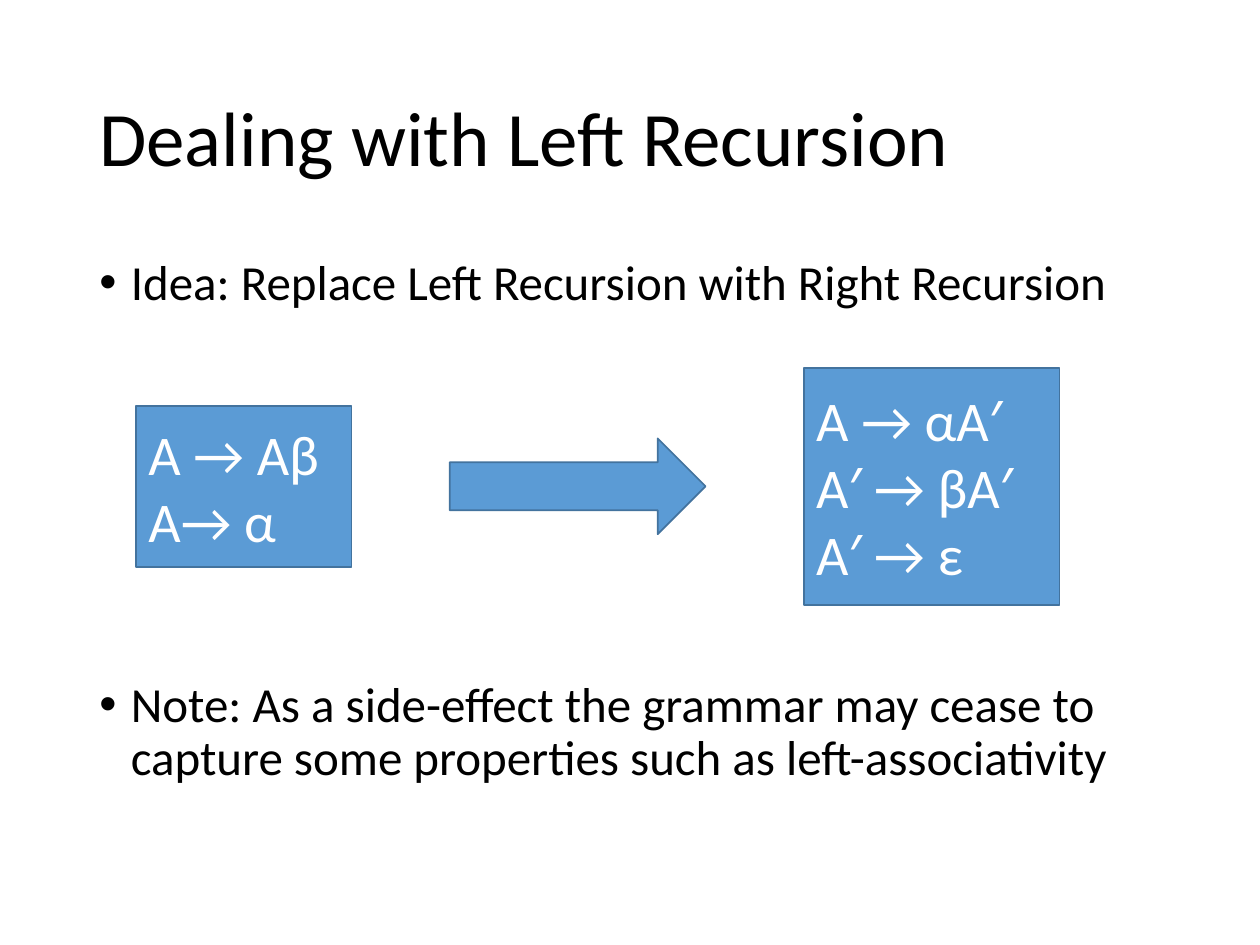
from pptx import Presentation, util as u
from pptx.dml.color import RGBColor
from pptx.enum import shapes, text
from pptx.oxml.ns import qn
from lxml import etree

FONT = "Calibri"
BLACK, WHITE, BLUE, EDGE = "000000", "FFFFFF", "5B9BD5", "43739E"


def color(value):
    return RGBColor.from_string(value)


def write(paragraph, wording, size, ink):
    paragraph.alignment = text.PP_ALIGN.LEFT
    run = paragraph.add_run()
    run.text = wording
    run.font.name = FONT
    run.font.size = u.Pt(size)
    run.font.color.rgb = color(ink)


def fill_lines(frame, lines, size, ink):
    for index, wording in enumerate(lines):
        paragraph = frame.add_paragraph() if index else frame.paragraphs[0]
        write(paragraph, wording, size, ink)


def add_frame(slide, box, anchor):
    frame = slide.shapes.add_textbox(*map(u.Inches, box)).text_frame
    frame.word_wrap = True
    frame.vertical_anchor = anchor
    return frame


def add_title(slide, box, wording):
    frame = add_frame(slide, box, text.MSO_ANCHOR.MIDDLE)
    fill_lines(frame, [wording], 44, BLACK)
    frame.paragraphs[0].line_spacing = 0.9


def add_bullets(slide, box, points, gap):
    frame = add_frame(slide, box, text.MSO_ANCHOR.TOP)
    fill_lines(frame, points, 28, BLACK)
    for index, paragraph in enumerate(frame.paragraphs):
        paragraph.line_spacing = 0.9
        paragraph.space_before = u.Pt(gap if index else 10)
        properties = paragraph._p.get_or_add_pPr()
        properties.set("marL", str(u.Inches(0.25)))
        properties.set("indent", str(-u.Inches(0.25)))
        etree.SubElement(properties, qn("a:buFont")).set("typeface", "Arial")
        etree.SubElement(properties, qn("a:buChar")).set("char", "•")


def add_block(slide, kind, box, rules=()):
    block = slide.shapes.add_shape(kind, *map(u.Inches, box))
    block.shadow.inherit = False
    block.fill.solid()
    block.fill.fore_color.rgb = color(BLUE)
    block.line.color.rgb = color(EDGE)
    block.line.width = u.Pt(1)
    block.text_frame.vertical_anchor = text.MSO_ANCHOR.MIDDLE
    fill_lines(block.text_frame, rules, 32, WHITE)


def add_rewrite(slide, box, before, after):
    left, top, width, height = box
    middle = top + height / 2
    rectangle = shapes.MSO_SHAPE.RECTANGLE
    arrow = shapes.MSO_SHAPE.RIGHT_ARROW
    parts = [
        (rectangle, 0, 1.71, 1.28, before),
        (arrow, 2.49, 2.03, 0.76, ()),
        (rectangle, width - 2.03, 2.03, height, after),
    ]
    for kind, offset, wide, high, rules in parts:
        add_block(slide, kind, (left + offset, middle - high / 2, wide, high), rules)


def main():
    deck = Presentation()
    deck.slide_width, deck.slide_height = u.Inches(10), u.Inches(7.5)
    slide = deck.slides.add_slide(deck.slide_layouts[6])
    add_title(slide, (0.69, 0.4, 8.62, 1.45), "Dealing with Left Recursion")
    add_bullets(slide, (0.69, 2, 8.62, 4.76), [
        "Idea: Replace Left Recursion with Right Recursion",
        "Note: As a side-effect the grammar may cease to capture some "
        "properties such as left-associativity",
    ], 211)
    add_rewrite(slide, (1.08, 2.92, 7.33, 1.88),
                ["A → Aβ", "A→ α"],
                ["A → αA′", "A′ → βA′", "A′ → ε"])
    deck.save("out.pptx")


if __name__ == "__main__":
    main()
